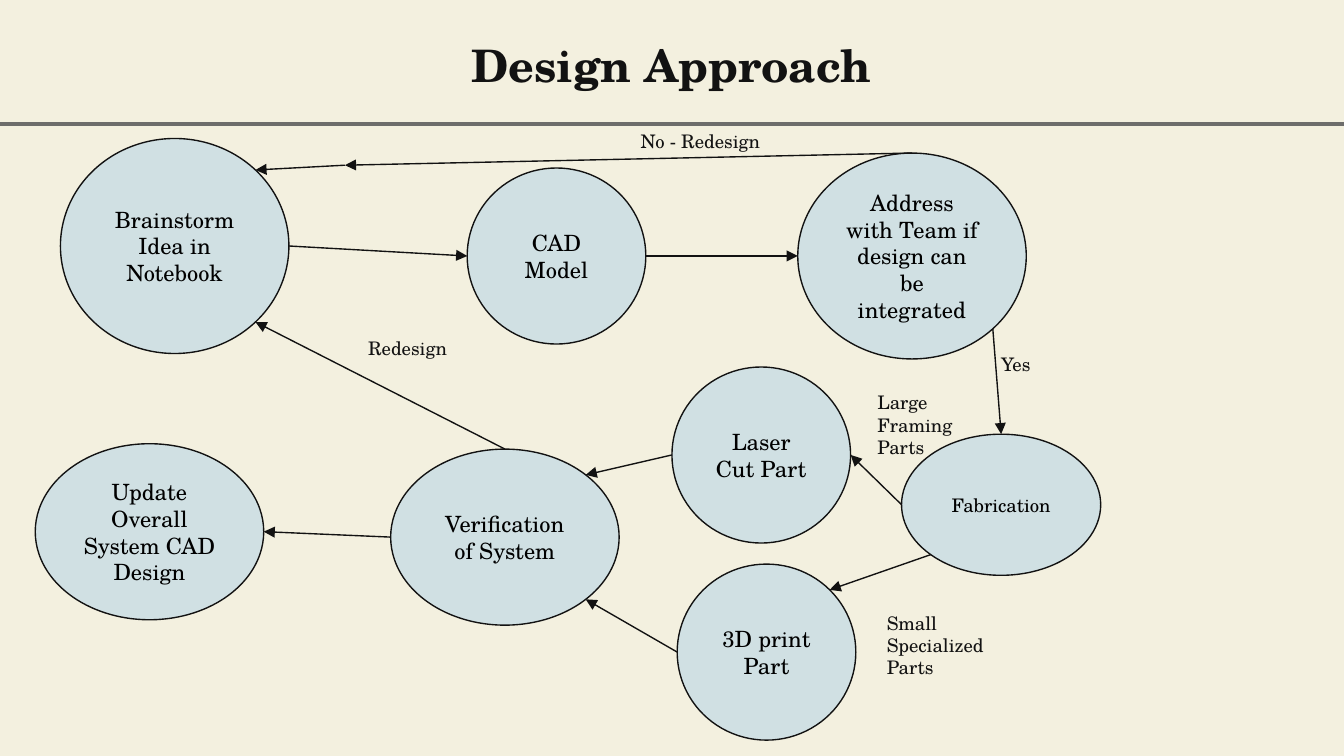
from math import cos, radians, sin
from pptx import Presentation
from pptx.dml.color import RGBColor
from pptx.enum.shapes import MSO_CONNECTOR, MSO_SHAPE
from pptx.enum.text import MSO_ANCHOR, PP_ALIGN
from pptx.oxml.ns import qn
from pptx.util import Pt
from lxml.etree import SubElement

COLORS = {"bg": "F3F0DF", "ink": "121212", "node": "D0E0E3", "node_text": "000000", "rule": "6D6D6B"}
FONT = "TeX Gyre Schola"
TOP, LEFT, BOTTOM, RIGHT = 0, 2, 4, 6
BOTTOM_RIGHT, TOP_RIGHT, BOTTOM_LEFT = 5, 7, 3

NODES = {
    "brainstorm": ("Brainstorm Idea in Notebook", 32.4, 8.2, 122.4, 115.2, 12),
    "cad": ("CAD Model", 250.3, 24, 95.7, 94.3, 12),
    "address": ("Address with Team if design can be integrated", 427.4, 16, 122.4, 110.3, 12),
    "laser": ("Laser Cut Part", 360, 130.6, 95.7, 94.3, 12),
    "fabrication": ("Fabrication", 483, 166.6, 106.7, 75.6, 10),
    "print": ("3D print Part", 362.8, 236.2, 95.7, 94.3, 12),
    "verification": ("Verification of System", 209.3, 174.6, 122.4, 94.3, 12),
    "update": ("Update Overall System CAD Design", 18.9, 171.7, 122.4, 94.3, 12),
}
LINKS = [
    ("brainstorm", RIGHT, "cad", LEFT),
    ("cad", RIGHT, "address", LEFT),
    ("address", BOTTOM_RIGHT, "fabrication", TOP),
    ("fabrication", LEFT, "laser", RIGHT),
    ("fabrication", BOTTOM_LEFT, "print", TOP_RIGHT),
    ("laser", LEFT, "verification", TOP_RIGHT),
    ("print", LEFT, "verification", BOTTOM_RIGHT),
    ("verification", LEFT, "update", RIGHT),
    ("verification", TOP, "brainstorm", BOTTOM_RIGHT),
]
LABELS = [
    ("Yes", 529.2, 116.9, 61.2, 31.7),
    ("No - Redesign", 336.2, -2.6, 132.5, 18),
    ("Small Specialized Parts", 468, 254.4, 72, 31.7),
    ("Large Framing Parts", 463, 136.3, 81.4, 49.7),
    ("Redesign", 190.1, 108.2, 99.4, 49),
]
REDESIGN_BEND = (184.8, 22.5)


def rgb(name):
    return RGBColor.from_string(COLORS[name])


def write(sp, text, size=10, color="ink", bold=False, align=PP_ALIGN.LEFT, anchor=MSO_ANCHOR.TOP):
    tf = sp.text_frame
    tf.word_wrap = True
    tf.vertical_anchor = anchor
    tf.margin_left = tf.margin_right = tf.margin_top = tf.margin_bottom = Pt(7.2)
    p = tf.paragraphs[0]
    p.alignment = align
    r = p.add_run()
    r.text = text
    r.font.name = FONT
    r.font.size = Pt(size)
    r.font.bold = bold
    r.font.color.rgb = rgb(color)


def add_line(s, start, end, color="ink", width=0.75, arrow=True):
    cx = s.shapes.add_connector(MSO_CONNECTOR.STRAIGHT, *map(Pt, start + end))
    cx.line.color.rgb = rgb(color)
    cx.line.width = Pt(width)
    if arrow:
        SubElement(cx.line._get_or_add_ln(), qn("a:tailEnd"), type="triangle")
    SubElement(cx._element.spPr, qn("a:effectLst"))
    return cx


def attach(cx, tag, sp, site):
    SubElement(cx._element.nvCxnSpPr.cNvCxnSpPr, qn(tag), id=str(sp.shape_id), idx=str(site))


def site_point(sp, site):
    angle = radians(45 * site)
    x = sp.left + sp.width / 2 * (1 - sin(angle))
    y = sp.top + sp.height / 2 * (1 - cos(angle))
    return x / Pt(1), y / Pt(1)


def add_node(s, text, x, y, w, h, size):
    sp = s.shapes.add_shape(MSO_SHAPE.OVAL, Pt(x), Pt(y), Pt(w), Pt(h))
    sp.shadow.inherit = False
    sp.fill.solid()
    sp.fill.fore_color.rgb = rgb("node")
    sp.line.color.rgb = rgb("ink")
    sp.line.width = Pt(0.75)
    write(sp, text, size=size, color="node_text", align=PP_ALIGN.CENTER, anchor=MSO_ANCHOR.MIDDLE)
    return sp


def draw_header(s, x, y, w, h):
    sp = s.shapes.add_textbox(Pt(x + 5), Pt(y + 15.1), Pt(w - 10.8), Pt(38.9))
    write(sp, "Design Approach", size=24, bold=True, align=PP_ALIGN.CENTER, anchor=MSO_ANCHOR.MIDDLE)
    add_line(s, (x, y + h), (x + w, y + h), color="rule", width=2.25, arrow=False)


def draw_flow(s, x, y):
    nodes = {
        key: add_node(s, text, x + dx, y + dy, w, h, size)
        for key, (text, dx, dy, w, h, size) in NODES.items()
    }
    for source, out_site, target, in_site in LINKS:
        start, end = nodes[source], nodes[target]
        cx = add_line(s, site_point(start, out_site), site_point(end, in_site))
        attach(cx, "a:stCxn", start, out_site)
        attach(cx, "a:endCxn", end, in_site)

    bend = (x + REDESIGN_BEND[0], y + REDESIGN_BEND[1])
    cx = add_line(s, bend, site_point(nodes["brainstorm"], TOP_RIGHT))
    attach(cx, "a:endCxn", nodes["brainstorm"], TOP_RIGHT)
    cx = add_line(s, site_point(nodes["address"], TOP), bend)
    attach(cx, "a:stCxn", nodes["address"], TOP)

    for text, dx, dy, w, h in LABELS:
        write(s.shapes.add_textbox(Pt(x + dx), Pt(y + dy), Pt(w), Pt(h)), text)


def main():
    prs = Presentation()
    prs.slide_width, prs.slide_height = Pt(720), Pt(405)
    s = prs.slides.add_slide(prs.slide_layouts[6])
    s.background.fill.solid()
    s.background.fill.fore_color.rgb = rgb("bg")
    draw_header(s, 0, 0, 720, 66.3)
    draw_flow(s, 0, 66)
    prs.save("out.pptx")


if __name__ == "__main__":
    main()
